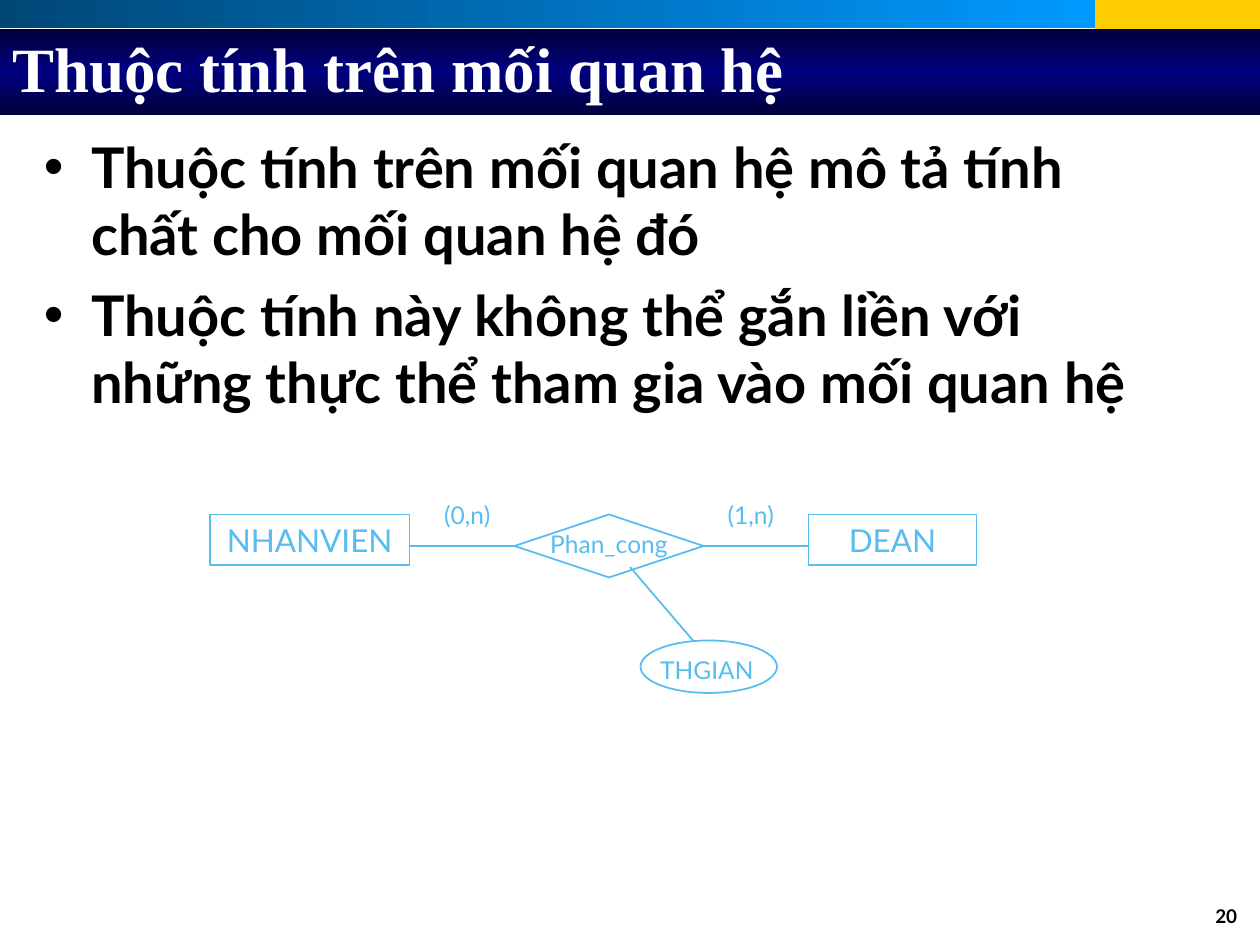
from lxml.etree import SubElement
from pptx import Presentation
from pptx.dml.color import RGBColor
from pptx.enum.shapes import MSO_CONNECTOR, MSO_SHAPE
from pptx.enum.text import MSO_ANCHOR, PP_ALIGN
from pptx.oxml.ns import qn
from pptx.util import Pt

BLACK = RGBColor(0x00, 0x00, 0x00)
WHITE = RGBColor(0xFF, 0xFF, 0xFF)
YELLOW = RGBColor(0xFF, 0xCC, 0x00)
TEAL = RGBColor(0x00, 0x47, 0x76)
AZURE = RGBColor(0x00, 0x99, 0xFF)
MIDNIGHT = RGBColor(0x00, 0x00, 0x3B)
NAVY = RGBColor(0x00, 0x00, 0x80)
SKY = RGBColor(0x57, 0xBC, 0xEF)
BODY_FONT, TITLE_FONT = "Lato", "Times New Roman"

TITLE = "Thuộc tính trên mối quan hệ"
BULLETS = [
    "Thuộc tính trên mối quan hệ mô tả tính chất cho mối quan hệ đó",
    "Thuộc tính này không thể gắn liền với những thực thể tham gia vào mối quan hệ",
]
PAGE_NUMBER = "20"

# Boxes are (left, top, width, height) in points.
BANDS = [
    ((625.7, 0, 94.3, 20.2), [YELLOW], 0),
    ((0, 0, 625.7, 15.8), [TEAL, AZURE], 0),
    ((0, 16.6, 720, 49), [MIDNIGHT, NAVY, MIDNIGHT], 90),
]
ENTITIES = [
    ("NHANVIEN", (120, 294, 114, 28.8)),
    ("DEAN", (462, 294, 96, 28.8)),
]
OUTLINES = [
    (MSO_SHAPE.FLOWCHART_DECISION, (294, 294, 108, 36)),
    (MSO_SHAPE.OVAL, (366, 366, 78, 30)),
]
LABELS = [
    ("Phan_cong", (306, 299, 84, 41)),
    ("(0,n)", (240, 282, 54, 24.5)),
    ("(1,n)", (402, 282, 54, 24.5)),
    ("THGIAN", (368, 371, 72, 24.5)),
]
LINKS = [
    ((234, 312), (294, 312)),
    ((402, 312), (462, 312)),
    ((360, 324), (396, 366)),
]


def points(values):
    return [Pt(value) for value in values]


def write(paragraph, text, size, color, font=BODY_FONT, bold=False):
    run = paragraph.add_run()
    run.text = text
    run.font.name = font
    run.font.size = Pt(size)
    run.font.bold = bold
    run.font.color.rgb = color


def add_text_frame(slide, box):
    frame = slide.shapes.add_textbox(*points(box)).text_frame
    frame.word_wrap = True
    return frame


def add_plain_shape(slide, kind, box):
    shape = slide.shapes.add_shape(kind, *points(box))
    shape.shadow.inherit = False
    return shape


def add_band(slide, box, colors, angle):
    """Draw a borderless bar, with evenly spaced gradient stops if it has several colours."""
    band = add_plain_shape(slide, MSO_SHAPE.RECTANGLE, box)
    band.line.fill.background()
    if len(colors) == 1:
        band.fill.solid()
        band.fill.fore_color.rgb = colors[0]
        return
    band.fill.gradient()
    band.fill.gradient_angle = angle
    stops = band._element.spPr.find(".//" + qn("a:gsLst"))
    for stop in list(stops):
        stops.remove(stop)
    for index, color in enumerate(colors):
        position = 100000 * index // (len(colors) - 1)
        stop = SubElement(stops, qn("a:gs"), pos=str(position))
        SubElement(stop, qn("a:srgbClr"), val=str(color))


def add_outline(slide, kind, box):
    shape = add_plain_shape(slide, kind, box)
    shape.fill.background()
    shape.line.color.rgb = SKY
    shape.line.width = Pt(1)
    return shape


def add_link(slide, start, end):
    link = slide.shapes.add_connector(MSO_CONNECTOR.STRAIGHT, *points(start + end))
    link.line.color.rgb = SKY
    link.line.width = Pt(1)
    SubElement(link._element.spPr, qn("a:effectLst"))


def add_bullets(slide, box, texts):
    frame = add_text_frame(slide, box)
    for index, text in enumerate(texts):
        paragraph = frame.add_paragraph() if index else frame.paragraphs[0]
        properties = paragraph._p.get_or_add_pPr()
        properties.set("marL", str(Pt(27)))
        properties.set("indent", str(Pt(-27)))
        SubElement(properties, qn("a:buFont"), typeface="Arial")
        SubElement(properties, qn("a:buChar"), char="•")
        if index:
            paragraph.space_before = Pt(8)
        write(paragraph, text, 32, BLACK, bold=True)


def add_centered(frame, text, size):
    frame.paragraphs[0].alignment = PP_ALIGN.CENTER
    write(frame.paragraphs[0], text, size, SKY)


def main():
    presentation = Presentation()
    presentation.slide_width, presentation.slide_height = Pt(720), Pt(540)
    slide = presentation.slides.add_slide(presentation.slide_layouts[6])

    for box, colors, angle in BANDS:
        add_band(slide, box, colors, angle)

    number = add_text_frame(slide, (546, 516, 168, 23)).paragraphs[0]
    number.alignment = PP_ALIGN.RIGHT
    number.line_spacing = 0.8
    write(number, PAGE_NUMBER, 10.8, BLACK, bold=True)

    title = add_text_frame(slide, (0, 17.3, 684, 42.5))
    title.vertical_anchor = MSO_ANCHOR.MIDDLE
    write(title.paragraphs[0], TITLE, 36, WHITE, TITLE_FONT, bold=True)

    add_bullets(slide, (18, 72, 660, 402), BULLETS)

    for name, box in ENTITIES:
        entity = add_outline(slide, MSO_SHAPE.RECTANGLE, box)
        entity.text_frame.vertical_anchor = MSO_ANCHOR.TOP
        add_centered(entity.text_frame, name, 18)
    for kind, box in OUTLINES:
        add_outline(slide, kind, box)
    for text, box in LABELS:
        add_centered(add_text_frame(slide, box), text, 14)
    for start, end in LINKS:
        add_link(slide, start, end)

    presentation.save("out.pptx")


if __name__ == "__main__":
    main()
